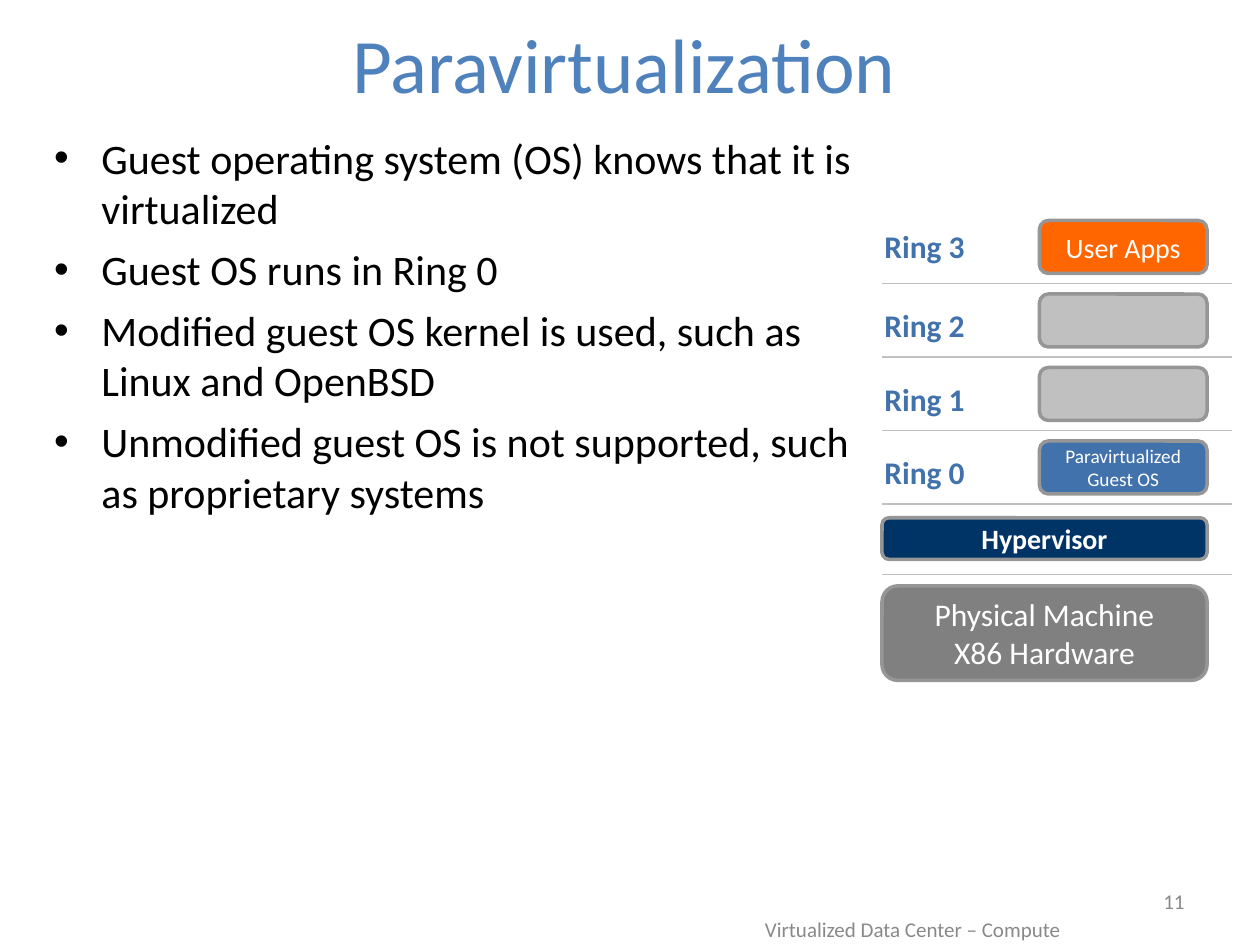
import pptx
import pptx.util
import pptx.dml.color
import pptx.enum.shapes
import pptx.enum.text
import pptx.oxml.ns
from lxml import etree

Inches = pptx.util.Inches
Pt = pptx.util.Pt
ALIGN = pptx.enum.text.PP_ALIGN
ANCHOR = pptx.enum.text.MSO_ANCHOR

COLORS = {
    "title": "4F81BD", "body": "000000", "footer": "898989", "white": "FFFFFF",
    "ring": "4272AC", "apps": "FF6600", "unused": "C0C0C0", "outline": "969696",
    "hypervisor": "003366", "hardware": "808080", "rule": "C0C0C0",
}
BULLETS = [
    "Guest operating system (OS) knows that it is virtualized",
    "Guest OS runs in Ring 0",
    "Modified guest OS kernel is used, such as Linux and OpenBSD",
    "Unmodified guest OS is not supported, such as proprietary systems",
]
RINGS = [
    ("Ring 3", ["User Apps"], "apps", 16, 1.75),
    ("Ring 2", [], "unused", 16, 2.38),
    ("Ring 1", [], "unused", 16, 2.97),
    ("Ring 0", ["Paravirtualized", "Guest OS"], "ring", 11, 3.55),
]
RING_TOP, RING_PITCH = 1.75, 7 / 12


def color(name):
    """Return the named colour."""
    return pptx.dml.color.RGBColor.from_string(COLORS[name])


def write(shape, lines, size=18, ink="body", bold=False, align=ALIGN.LEFT,
          anchor=ANCHOR.TOP, wrap=True, gap=0):
    """Fill a shape with one formatted paragraph per line."""
    frame = shape.text_frame
    frame.auto_size = pptx.enum.text.MSO_AUTO_SIZE.NONE
    frame.word_wrap = wrap
    frame.vertical_anchor = anchor
    for index, line in enumerate(lines):
        para = frame.add_paragraph() if index else frame.paragraphs[0]
        para.alignment = align
        para.space_before = Pt(gap if index else 0)
        span = para.add_run()
        span.text = line
        span.font.name = "Calibri"
        span.font.size = Pt(size)
        span.font.bold = bold
        span.font.color.rgb = color(ink)


def place(shape, left, top, width, height):
    """Move and size a placeholder."""
    shape.left, shape.top = Inches(left), Inches(top)
    shape.width, shape.height = Inches(width), Inches(height)


def add_label(shapes, text, left, top, width, height, **style):
    """Add a text box with one line."""
    box = shapes.add_textbox(Inches(left), Inches(top), Inches(width), Inches(height))
    write(box, [text], **style)


def add_block(shapes, lines, fill, left, top, width, height, **style):
    """Add an outlined rounded block with centred white text."""
    block = shapes.add_shape(pptx.enum.shapes.MSO_SHAPE.ROUNDED_RECTANGLE,
                             Inches(left), Inches(top), Inches(width), Inches(height))
    block.shadow.inherit = False
    block.fill.solid()
    block.fill.fore_color.rgb = color(fill)
    block.line.color.rgb = color("outline")
    block.line.width = Pt(2)
    write(block, lines, ink="white", align=ALIGN.CENTER, anchor=ANCHOR.MIDDLE,
          wrap=False, **style)


def add_rule(shapes, top):
    """Add a thin horizontal divider."""
    rule = shapes.add_connector(pptx.enum.shapes.MSO_CONNECTOR.STRAIGHT,
                                Inches(7), Inches(top), Inches(9.78), Inches(top))
    rule.line.color.rgb = color("rule")
    rule.line.width = Pt(0.75)
    properties = rule._element.find(pptx.oxml.ns.qn("p:spPr"))
    etree.SubElement(properties, pptx.oxml.ns.qn("a:effectLst"))


def add_ring_diagram(page):
    """Draw the privilege rings above the hypervisor and the hardware."""
    shapes = page.shapes.add_group_shape().shapes
    for index, (name, lines, fill, size, label_top) in enumerate(RINGS):
        top = RING_TOP + index * RING_PITCH
        add_label(shapes, name, 6.92, label_top, 0.92, 0.4, ink="ring", bold=True)
        add_block(shapes, lines, fill, 8.25, top, 1.33, 0.42, size=size)
        add_rule(shapes, top + 0.5)
    add_block(shapes, ["Hypervisor"], "hypervisor", 7, 4.11, 2.58, 0.33,
              size=16, bold=True)
    add_rule(shapes, 4.56)
    add_block(shapes, ["Physical Machine", "X86 Hardware"], "hardware",
              7, 4.65, 2.58, 0.75)


def main():
    """Build the slide and save it."""
    deck = pptx.Presentation()
    deck.slide_width, deck.slide_height = Inches(10), Inches(7.5)
    page = deck.slides.add_slide(deck.slide_layouts[1])
    title, body = page.shapes.title, page.placeholders[1]
    place(title, 0.33, 0.08, 9.25, 0.83)
    write(title, ["Paravirtualization"], size=44, ink="title",
          align=ALIGN.CENTER, anchor=ANCHOR.MIDDLE)
    place(body, 0.33, 1, 6.67, 5.42)
    write(body, BULLETS, size=24, gap=6)
    add_label(page.shapes, "Virtualized Data Center – Compute", 5.08, 7.25, 4.33, 0.25,
              size=12, ink="footer", align=ALIGN.CENTER, anchor=ANCHOR.MIDDLE)
    add_label(page.shapes, "11", 7.17, 6.95, 2.33, 0.4,
              size=12, ink="footer", align=ALIGN.RIGHT, anchor=ANCHOR.MIDDLE)
    add_ring_diagram(page)
    deck.save("out.pptx")


if __name__ == "__main__":
    main()
